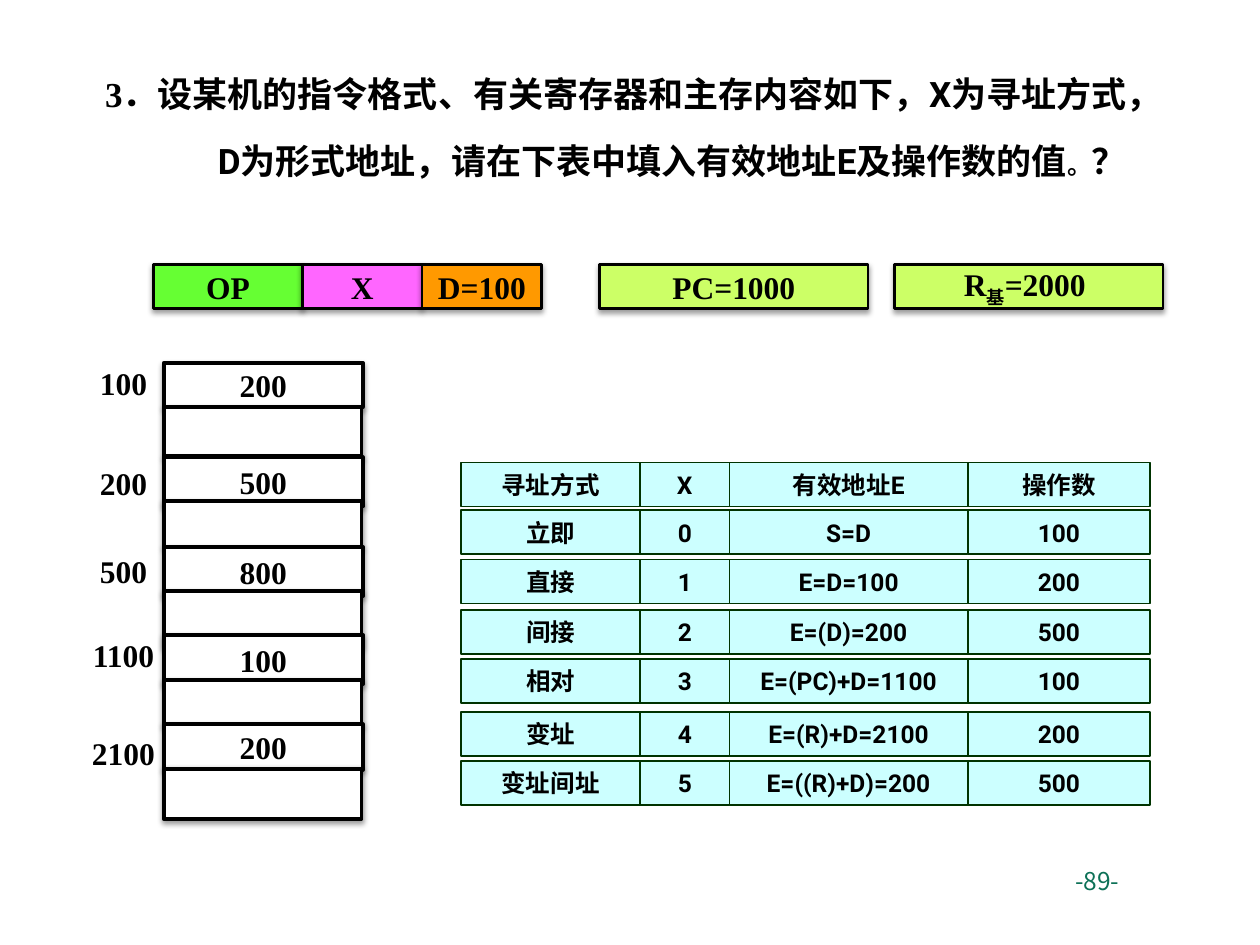
from dataclasses import dataclass

from lxml.etree import SubElement
from pptx import Presentation
from pptx.dml.color import RGBColor
from pptx.enum.shapes import MSO_SHAPE
from pptx.enum.text import MSO_ANCHOR, PP_ALIGN
from pptx.oxml.ns import qn
from pptx.util import Inches, Pt


@dataclass(frozen=True)
class Theme:
    serif: str = "Times New Roman"
    sans: str = "Roboto"
    cjk: str = "Noto Sans CJK SC"
    black: str = "000000"
    white: str = "FFFFFF"
    green: str = "66FF33"
    pink: str = "FF66FF"
    orange: str = "FF9900"
    lime: str = "CCFF66"
    cyan: str = "CCFFFF"
    cell_line: str = "003300"
    page: str = "0D7157"
    title_size: int = 20
    body_size: int = 18
    small_size: int = 14


class SlideBuilder:
    def __init__(self, slide, theme):
        self.slide = slide
        self.theme = theme

    def run(self, p, text, size, font, color=None, bold=True, baseline=None):
        r = p.add_run()
        r.text = text
        r.font.size = Pt(size)
        r.font.name = font
        r.font.bold = bold
        r.font.color.rgb = RGBColor.from_string(color or self.theme.black)
        r_pr = r.font._element
        SubElement(r_pr, qn("a:ea")).set("typeface", self.theme.cjk)
        if baseline:
            r_pr.set("baseline", str(baseline))

    def rect(self, x, y, w, h, fill, line, weight):
        sp = self.slide.shapes.add_shape(
            MSO_SHAPE.RECTANGLE, Inches(x), Inches(y), Inches(w), Inches(h))
        sp.shadow.inherit = False
        sp.fill.solid()
        sp.fill.fore_color.rgb = RGBColor.from_string(fill)
        sp.line.color.rgb = RGBColor.from_string(line)
        sp.line.width = Pt(weight)
        sp.text_frame.vertical_anchor = MSO_ANCHOR.MIDDLE
        sp.text_frame.paragraphs[0].alignment = PP_ALIGN.CENTER
        return sp

    def add_shadow(self, sp):
        effects = sp._element.spPr.find(qn("a:effectLst"))
        shadow = SubElement(effects, qn("a:outerShdw"), blurRad="40000",
                            dist="20000", dir="5400000", rotWithShape="0")
        color = SubElement(shadow, qn("a:srgbClr"), val=self.theme.black)
        SubElement(color, qn("a:alpha"), val="38000")

    def block(self, x, y, w, h, fill, weight, runs=()):
        t = self.theme
        sp = self.rect(x, y, w, h, fill, t.black, weight)
        self.add_shadow(sp)
        tf = sp.text_frame
        tf.word_wrap = False
        for text, baseline in runs:
            self.run(tf.paragraphs[0], text, t.body_size, t.serif, baseline=baseline)

    def cell(self, x, y, w, h, text):
        t = self.theme
        sp = self.rect(x, y, w, h, t.cyan, t.cell_line, 1)
        sp.text_frame.word_wrap = True
        self.run(sp.text_frame.paragraphs[0], text, t.small_size, t.sans)

    def text_box(self, x, y, w, h, align):
        box = self.slide.shapes.add_textbox(Inches(x), Inches(y), Inches(w), Inches(h))
        tf = box.text_frame
        tf.word_wrap = True
        tf.paragraphs[0].alignment = align
        return tf

    def label(self, x, y, w, h, text):
        tf = self.text_box(x, y, w, h, PP_ALIGN.CENTER)
        self.run(tf.paragraphs[0], text, self.theme.body_size, self.theme.serif)

    def title(self, x, y, w, h, runs):
        tf = self.text_box(x, y, w, h, PP_ALIGN.RIGHT)
        tf.vertical_anchor = MSO_ANCHOR.MIDDLE
        tf.margin_top = tf.margin_bottom = Inches(0.09)
        p = tf.paragraphs[0]
        p.line_spacing = 1.6
        p_pr = p._p.get_or_add_pPr()
        p_pr.set("marL", "0")
        p_pr.set("indent", str(Inches(0.3)))
        for text, size, font in runs:
            self.run(p, text, size, font)

    def page_number(self, x, y, w, h, text):
        t = self.theme
        tf = self.text_box(x, y, w, h, PP_ALIGN.LEFT)
        self.run(tf.paragraphs[0], text, t.small_size, t.cjk, t.page, bold=False)


def main():
    prs = Presentation()
    prs.slide_width, prs.slide_height = Inches(10), Inches(7.5)
    t = Theme()
    s = SlideBuilder(prs.slides.add_slide(prs.slide_layouts[6]), t)

    memory = [
        (2.88, 0.35, "200"), (3.23, 0.39, ""),
        (3.63, 0.39, "500"), (3.98, 0.36, ""),
        (4.34, 0.39, "800"), (4.69, 0.44, ""),
        (5.04, 0.39, "100"), (5.4, 0.36, ""),
        (5.75, 0.36, "200"), (6.1, 0.4, ""),
    ]
    for y, h, value in memory:
        width = 1.58 if value else 1.57
        s.block(1.3, y, width, h, t.white, 2.25, [(value, None)] if value else ())

    addresses = [("100", 2.84), ("200", 3.63), ("500", 4.33), ("1100", 5), ("2100", 5.78)]
    for address, y in addresses:
        w = 0.94 if len(address) > 3 else 0.63
        s.label(0.98 - w / 2, y, w, 0.4, address)

    registers = [
        (1.22, 1.18, t.green, [("OP", None)]),
        (2.4, 0.95, t.pink, [("X", None)]),
        (3.35, 0.95, t.orange, [("D=100", None)]),
        (4.76, 2.13, t.lime, [("PC=1000", None)]),
        (7.1, 2.13, t.lime, [("R", None), ("基", -25000), ("=2000 ", None)]),
    ]
    for x, w, fill, runs in registers:
        s.block(x, 2.1, w, 0.35, fill, 1.5, runs)

    columns = [(3.66, 1.42), (5.08, 0.71), (5.79, 1.89), (7.68, 1.45)]
    modes = [
        (3.67, ("寻址方式", "X", "有效地址E", "操作数")),
        (4.05, ("立即", "0", "S=D", "100")),
        (4.44, ("直接", "1", "E=D=100", "200")),
        (4.84, ("间接", "2", "E=(D)=200", "500")),
        (5.23, ("相对", "3", "E=(PC)+D=1100", "100")),
        (5.65, ("变址", "4", "E=(R)+D=2100", "200")),
        (6.04, ("变址间址", "5", "E=((R)+D)=200", "500")),
    ]
    for y, row in modes:
        for (x, w), text in zip(columns, row):
            s.cell(x, y, w, 0.35, text)

    s.title(0.35, 0.28, 8.69, 1.26, [
        ("3．", t.title_size, t.serif),
        ("设某机的指令格式、有关寄存器和主存内容如下，X为寻址方式，"
         "D为形式地址，请在下表中填入有效地址E及操作数的值", t.title_size, t.sans),
        ("。", t.small_size, t.sans),
        ("？", t.title_size, t.serif),
    ])
    s.page_number(8.39, 6.82, 1.11, 0.52, " -89-")
    prs.save("out.pptx")


if __name__ == "__main__":
    main()
